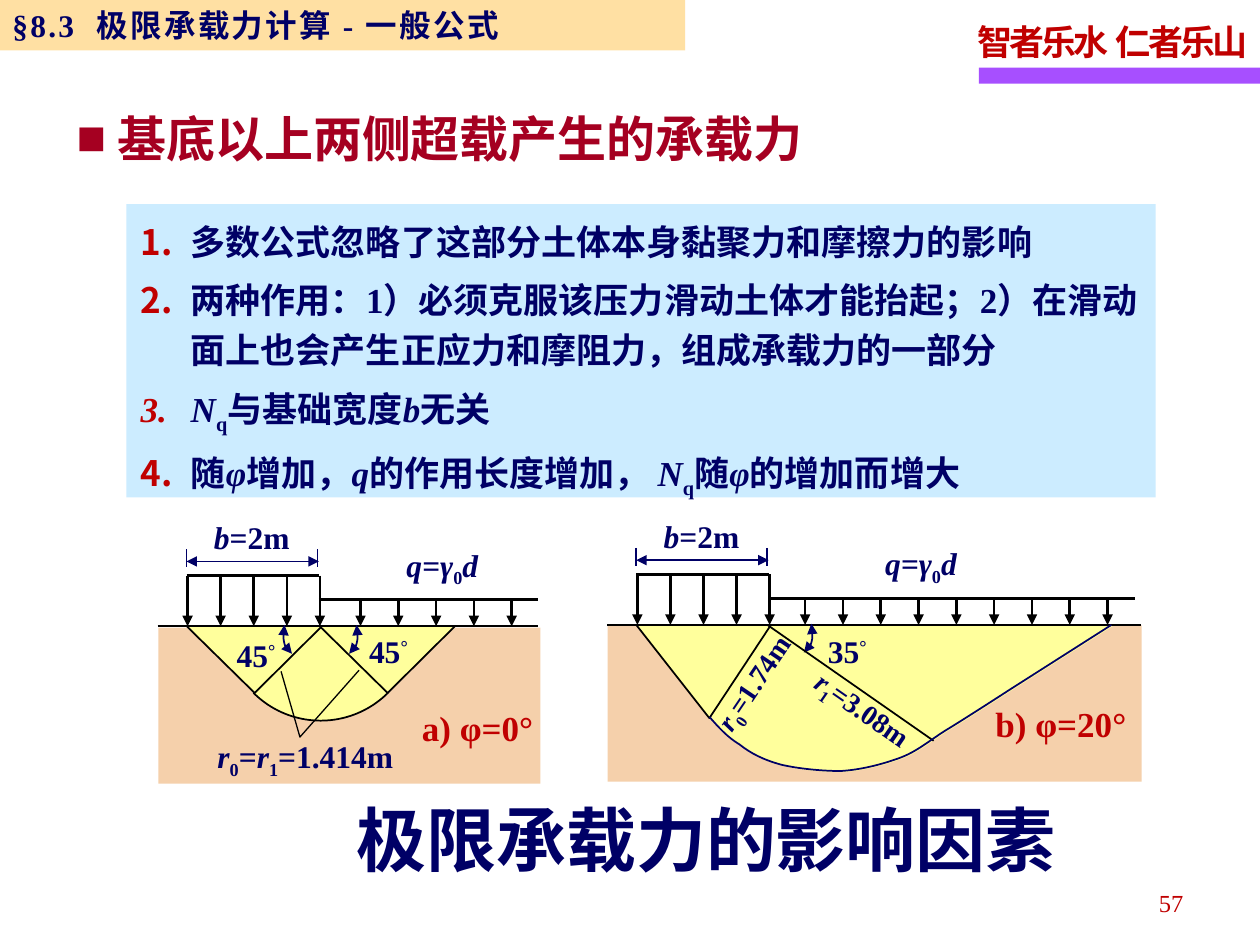
from lxml.etree import SubElement
from pptx import Presentation
from pptx.dml.color import RGBColor
from pptx.enum.shapes import MSO_CONNECTOR, MSO_SHAPE
from pptx.enum.text import MSO_ANCHOR as ANCHOR, MSO_AUTO_SIZE as AUTO_SIZE, PP_ALIGN as ALIGN
from pptx.oxml.ns import qn
from pptx.util import Pt

COLORS = {"navy": "000066", "red": "C00000", "crimson": "A50021", "black": "000000",
          "purple": "A74FFF", "amber": "FFCC66", "sky": "CCECFF",
          "soil": "F5D0AB", "wedge": "FFFF9C"}
LATIN, CJK = "Times New Roman", "Noto Sans CJK SC"
BASELINES = {"sub": "-25000", "sup": "30000"}


def rgb(name):
    return RGBColor.from_string(COLORS[name])


def write_text(frame, paragraphs, size=18, color="navy", bold=True, font=LATIN, align=ALIGN.LEFT,
               anchor=ANCHOR.TOP, wrap=True, grow=False, inset=(7.2, 3.6), spacing=1.0, gap=0,
               tracking=0, bullet=None, hang=0):
    """Each paragraph is a list of (text, style); style holds 'i', 'sub' or 'sup'."""
    frame.word_wrap, frame.vertical_anchor = wrap, anchor
    if grow:
        frame.auto_size = AUTO_SIZE.SHAPE_TO_FIT_TEXT
    frame.margin_left = frame.margin_right = Pt(inset[0])
    frame.margin_top = frame.margin_bottom = Pt(inset[1])
    for index, runs in enumerate(paragraphs):
        paragraph = frame.add_paragraph() if index else frame.paragraphs[0]
        properties = paragraph._p.get_or_add_pPr()
        if bullet:
            properties.set("marL", str(Pt(hang)))
            properties.set("indent", str(-Pt(hang)))
            tag, attributes, bullet_color, bullet_font = bullet
            SubElement(SubElement(properties, qn("a:buClr")), qn("a:srgbClr"),
                       val=COLORS[bullet_color])
            if bullet_font:
                SubElement(properties, qn("a:buFont"), typeface=bullet_font)
            SubElement(properties, qn(tag), **attributes)
        paragraph.alignment, paragraph.line_spacing = align, spacing
        if gap:
            paragraph.space_before = Pt(gap if index else 0)
            paragraph.space_after = Pt(gap)
        for text, style in runs:
            run = paragraph.add_run()
            run.text = text
            run.font.size, run.font.bold, run.font.name = Pt(size), bold, font
            run.font.italic = style == "i"
            run.font.color.rgb = rgb(color)
            run_properties = run._r.get_or_add_rPr()
            SubElement(run_properties, qn("a:ea"), typeface=CJK)
            if style in BASELINES:
                run_properties.set("baseline", BASELINES[style])
            if tracking:
                run_properties.set("spc", str(round(tracking * 100)))


def add_text(shapes, box, paragraphs, rotation=0, **text_format):
    shape = shapes.add_textbox(*map(Pt, box))
    shape.rotation = rotation
    write_text(shape.text_frame, paragraphs, **text_format)


def add_label(shapes, box, runs, **text_format):
    """Centred diagram label."""
    add_text(shapes, box, [runs], align=ALIGN.CENTER, anchor=ANCHOR.MIDDLE,
             grow=True, spacing=1.15, **text_format)


def paint(shape, fill=None, line=None, width=1):
    shape.shadow.inherit = False
    if fill:
        shape.fill.solid()
        shape.fill.fore_color.rgb = rgb(fill)
    else:
        shape.fill.background()
    if line:
        shape.line.color.rgb = rgb(line)
        shape.line.width = Pt(width)
    else:
        shape.line.fill.background()
    return shape


def add_box(shapes, box, fill, kind=MSO_SHAPE.RECTANGLE, line=None):
    return paint(shapes.add_shape(kind, *map(Pt, box)), fill, line)


def add_arrowheads(shape, ends):
    line = shape.line._get_or_add_ln()
    for end in ends:
        SubElement(line, qn("a:" + end), type="triangle")


def add_line(shapes, start, end, color="black", width=1.5, ends=()):
    line = shapes.add_connector(MSO_CONNECTOR.STRAIGHT, *map(Pt, (*start, *end)))
    line.line.color.rgb, line.line.width = rgb(color), Pt(width)
    SubElement(line._element.spPr, qn("a:effectLst"))
    add_arrowheads(line, ends)


def add_path(shapes, points, origin, close=False, curves=0, **look):
    """The first `curves` triples after the start are cubic curves, the rest straight."""
    x, y = origin
    placed = [(Pt(x + px), Pt(y + py)) for px, py in points]
    builder = shapes.build_freeform(*placed[0])
    builder.add_line_segments(placed[1:], close=close)
    shape = builder.convert_to_shape()
    segments = list(shape._element.spPr.iter(qn("a:lnTo")))
    for i in range(0, 3 * curves, 3):
        first, *others = segments[i:i + 3]
        first.tag = qn("a:cubicBezTo")
        for segment in others:
            first.append(segment[0])
            segment.getparent().remove(segment)
    return paint(shape, **look)


def add_angle_mark(shapes, apex, side=1):
    curve = [(16.3, 15.8), (18.4, 14.4), (19.9, 12.2), (20.6, 10.1),
             (21.3, 7.2), (21.3, 3.6), (20.6, -0.7)]
    mark = add_path(shapes, [(side * x, y) for x, y in curve], apex, curves=2, line="navy")
    add_arrowheads(mark, ("headEnd", "tailEnd"))


def add_loads(shapes, x, y, ground_right, q_right, q_first, q_count, q_label):
    """Ground line, footing load and surcharge; (x, y) is the footing's left corner."""
    footing, footing_top, q_top = 75.6, y - 28.8, y - 15.1
    add_line(shapes, (x - 16.6, y), (x + ground_right, y))
    add_line(shapes, (x, footing_top), (x + footing, footing_top))
    add_line(shapes, (x + footing, q_top), (x + q_right, q_top))
    arrows = [(x + 0.6 + 18.9 * i, footing_top) for i in range(5)]
    arrows += [(x + q_first + 21.6 * i, q_top) for i in range(q_count)]
    for arrow_x, top in arrows:
        add_line(shapes, (arrow_x, top), (arrow_x, y), ends=("tailEnd",))
    # Width dimension
    for tick in (x, x + footing - 0.7):
        add_line(shapes, (tick, y - 44), (tick, y - 33.5), "navy", 1)
    add_line(shapes, (x, y - 37), (x + footing, y - 37), "navy", 1, ("headEnd", "tailEnd"))
    add_label(shapes, (x + 8.1, y - 68.6, 58.3, 32.4), [("b", "i"), ("=2m", "")], wrap=False)
    add_label(shapes, (x + q_label, y - 51.8, 79.2, 32.4), [("q=γ", "i"), ("0", "sub"), ("d", "i")])


def figure_a(slide, x, y):
    shapes = slide.shapes.add_group_shape().shapes
    add_box(shapes, (x - 16, y + 0.8, 218.2, 89.3), "soil")
    fan = add_box(shapes, (x + 22.3, y - 54.7, 108.7, 108.7), "wedge", MSO_SHAPE.ARC, "black")
    fan.rotation = 135
    for left in (0, 76):
        add_path(shapes, [(0, 0), (38.9, 38.2), (77.4, 0)], (x + left, y), True,
                 fill="wedge", line="black")
    add_loads(shapes, x, y, 200.9, 200.9, 99.4, 5, 106.6)
    # Angles and radii
    for side, left, top in ((1, 97.2, -3.6), (-1, 21.6, -1.4)):
        add_angle_mark(shapes, (x + 76.6, y), side)
        add_text(shapes, (x + left, y + top, 38.2, 32.4), [[("45", ""), ("°", "sup")]], spacing=1.15)
    add_path(shapes, [(54, 25.9), (64.8, 63.4), (98.6, 25.2)], (x, y), line="black", width=0.75)
    add_label(shapes, (x + 5.6, y + 57.4, 124.6, 32.4),
              [("r", "i"), ("0", "sub"), ("=", ""), ("r", "i"), ("1", "sub"), ("=1.414m", "")])
    add_text(shapes, (x + 127.4, y + 38.9, 90.7, 32.4), [[("a) φ=0°", "")]],
             size=20, color="red", spacing=1.15)


def figure_b(slide, x, y):
    shapes = slide.shapes.add_group_shape().shapes
    slip = [(42.5, 53.3), (47.5, 59), (52.6, 64.8), (59.8, 69.1),
            (66.2, 74.2), (73.4, 77.8), (83.5, 80.6),
            (92.9, 82.8), (106.6, 84.2), (117.4, 84.2),
            (128.9, 83.5), (140.4, 80.6), (150.5, 77),
            (160.6, 73.4), (167, 67.7), (177.1, 61.2),
            (187.9, 54.7), (214.6, 37.4), (214.6, 37.4), (272.2, 0.7)]
    add_box(shapes, (x - 16.4, y + 0.3, 305.3, 89.3), "soil")
    add_path(shapes, slip + [(75.6, 0.7)], (x, y), True, curves=6, fill="wedge")
    add_loads(shapes, x, y, 288.7, 285.1, 96.5, 9, 123.1)
    add_path(shapes, [(0, 0), (41.8, 53.3), (77, 0)], (x, y), True, fill="wedge", line="black")
    # Angle and radii
    add_angle_mark(shapes, (x + 79.5, y))
    add_text(shapes, (x + 102.4, y - 2.9, 38.2, 32.4), [[("35", ""), ("°", "sup")]], spacing=1.15)
    add_line(shapes, (x + 74.9, y), (x + 169.9, y + 66.2), width=1)
    add_label(shapes, (x + 18.7, y + 18, 95, 29.5),
              [("r", "i"), ("0", "sub"), ("=1.74m", "")], size=16, rotation=304)
    add_label(shapes, (x + 90.7, y + 33.8, 77.8, 28.1),
              [("r", "i"), ("1", "sub"), ("=3.08m", "")], size=16, rotation=34.8)
    add_text(shapes, (x + 198.2, y + 37.4, 103.7, 35.3), [[("b) φ=20°", "")]],
             size=20, color="red", spacing=1.15)
    add_path(shapes, slip, (x - 0.7, y - 0.7), curves=6, line="navy")


def header(slide, width):
    shapes = slide.shapes
    add_box(shapes, (width - 160.6, 38.7, 160.6, 9.1), "purple")
    add_text(shapes, (width - 168.5, 4.7, 170, 35.3), [[("智者乐水  仁者乐山", "")]],
             size=20, color="red", wrap=False, spacing=1.15, tracking=-1.7)
    bar = add_box(shapes, (0, 0, 391.5, 28.8), "amber")
    fill_color = bar._element.spPr.find(qn("a:solidFill"))[0]
    SubElement(fill_color, qn("a:alpha"), val="60000")
    write_text(bar.text_frame, [[("§8.3  极限承载力计算 - 一般公式", "")]],
               anchor=ANCHOR.MIDDLE, tracking=1.3)


def key_points(slide, x, y, width, height):
    add_box(slide.shapes, (x, y, width, height), "sky")
    points = [
        [("多数公式忽略了这部分土体本身黏聚力和摩擦力的影响", "")],
        [("两种作用：1）必须克服该压力滑动土体才能抬起；2）在滑动面上也会产生正应力和摩阻力，组成承载力的一部分", "")],
        [("N", "i"), ("q", "sub"), ("与基础宽度", ""), ("b", "i"), ("无关", "")],
        [("随", ""), ("φ", "i"), ("增加，", ""), ("q", "i"), ("的作用长度增加，", ""),
         (" N", "i"), ("q", "sub"), ("随", ""), ("φ", "i"), ("的增加而增大", "")],
    ]
    add_text(slide.shapes, (x + 8.2, y + 4.8, width - 4.3, height - 10), points, size=20,
             inset=(0, 0), spacing=1.2, gap=2, hang=28.6,
             bullet=("a:buAutoNum", {"type": "arabicPeriod"}, "red", None))


def main():
    presentation = Presentation()
    presentation.slide_width, presentation.slide_height = Pt(720), Pt(540)
    slide = presentation.slides.add_slide(presentation.slide_layouts[6])
    header(slide, 720)
    key_points(slide, 72.2, 116.6, 588.2, 167.6)
    # Heading, closing title and page number
    add_text(slide.shapes, (36.7, 58.3, 450, 41), [[("基底以上两侧超载产生的承载力", "")]], size=28,
             color="crimson", font=CJK, hang=23.3,
             bullet=("a:buChar", {"char": "■"}, "crimson", LATIN))
    add_text(slide.shapes, (195.8, 451.9, 415.4, 55.4), [[("极限承载力的影响因素", "")]],
             size=40, align=ALIGN.CENTER)
    add_text(slide.shapes, (515.5, 501.4, 167.8, 28.8), [[("57", "")]], size=14, color="red",
             bold=False, align=ALIGN.RIGHT, spacing=1.15)
    figure_a(slide, 106.6, 357.8)
    figure_b(slide, 363.6, 357.1)
    presentation.save("out.pptx")


if __name__ == "__main__":
    main()
